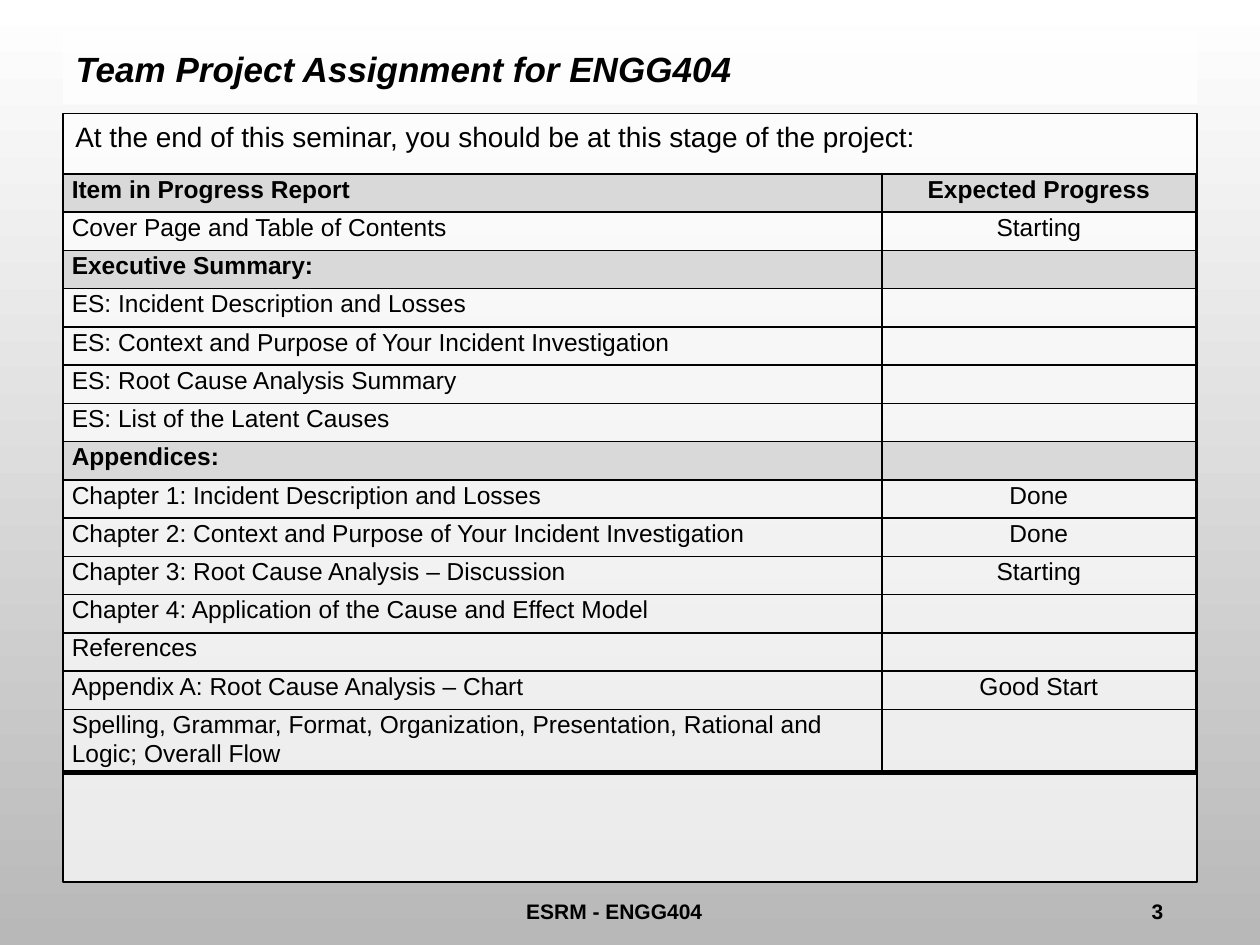
from pptx import Presentation
from pptx.dml.color import RGBColor
from pptx.enum import shapes, text
from pptx.oxml.xmlchemy import OxmlElement
from pptx.util import Inches, Pt

BLACK = RGBColor(0x00, 0x00, 0x00)
WHITE = RGBColor(0xFF, 0xFF, 0xFF)
BACKDROP_GREY = RGBColor(0xB8, 0xB8, 0xB8)
HEADING_GREY = RGBColor(0xD9, 0xD9, 0xD9)

LEFT, WIDTH = Inches(0.5), Inches(9)
HEADINGS = ("Item in Progress Report", "Executive Summary:", "Appendices:")
PROGRESS = [
    ("Item in Progress Report", "Expected Progress"),
    ("Cover Page and Table of Contents", "Starting"),
    ("Executive Summary:", ""),
    ("ES: Incident Description and Losses", ""),
    ("ES: Context and Purpose of Your Incident Investigation", ""),
    ("ES: Root Cause Analysis Summary", ""),
    ("ES: List of the Latent Causes", ""),
    ("Appendices:", ""),
    ("Chapter 1: Incident Description and Losses", "Done"),
    ("Chapter 2: Context and Purpose of Your Incident Investigation", "Done"),
    ("Chapter 3: Root Cause Analysis – Discussion", "Starting"),
    ("Chapter 4: Application of the Cause and Effect Model", ""),
    ("References", ""),
    ("Appendix A: Root Cause Analysis – Chart", "Good Start"),
    ("Spelling, Grammar, Format, Organization, Presentation, "
     "Rational and Logic; Overall Flow", ""),
]


def add_child(parent, tag, **attributes):
    child = OxmlElement(tag)
    for name, value in attributes.items():
        child.set(name, str(value))
    parent.append(child)
    return child


def write(frame, words, size, bold=False, italic=False, align=text.PP_ALIGN.LEFT):
    para = frame.paragraphs[0]
    para.text = words
    para.alignment = align
    font = para.font
    font.name, font.size, font.bold, font.italic = "Arial", Pt(size), bold, italic
    font.color.rgb = BLACK
    return para


def fill_translucent_white(shape):
    shape.fill.solid()
    shape.fill.fore_color.rgb = WHITE
    color = shape.fill._xPr.solidFill.srgbClr
    add_child(color, "a:alpha", val=70000)


def paint_background(page):
    fill = page.background.fill
    fill.gradient()
    fill.gradient_angle = 270
    for stop, color, position in zip(fill.gradient_stops, (WHITE, BACKDROP_GREY), (0, 1)):
        stop.color.rgb = color
        stop.position = position


def format_title(title):
    title.left, title.top, title.width, title.height = (
        LEFT, Inches(0.25), WIDTH, Inches(0.58))
    fill_translucent_white(title)
    title.text_frame.vertical_anchor = text.MSO_ANCHOR.MIDDLE
    write(title.text_frame, "Team Project Assignment for ENGG404", 20, True, True)


def add_panel(page):
    panel = page.shapes.add_shape(
        shapes.MSO_SHAPE.RECTANGLE, LEFT, Inches(0.9), WIDTH, Inches(6.1))
    panel.shadow.inherit = False
    fill_translucent_white(panel)
    panel.line.color.rgb = BLACK
    panel.line.width = Pt(0.75)
    panel.text_frame.vertical_anchor = text.MSO_ANCHOR.TOP
    para = write(panel.text_frame, "At the end of this seminar, you should be "
                 "at this stage of the project:", 16)
    properties = para._p.get_or_add_pPr()
    properties.set("marL", str(Inches(0.67)))
    properties.set("indent", str(-Inches(0.67)))


def add_footer(page, left, width, words, align):
    box = page.shapes.add_textbox(Inches(left), Inches(7.08), Inches(width), Inches(0.25))
    box.text_frame.word_wrap = True
    write(box.text_frame, words, 12, True, align=align)


def set_borders(cell, bottom_width):
    properties = cell._tc.get_or_add_tcPr()
    widths = {"a:lnL": 1, "a:lnR": 1, "a:lnT": 1, "a:lnB": bottom_width}
    for index, (tag, width) in enumerate(widths.items()):
        line = OxmlElement(tag)
        line.set("w", str(Pt(width)))
        fill = add_child(line, "a:solidFill")
        add_child(fill, "a:srgbClr", val=str(BLACK))
        properties.insert(index, line)  # borders precede the cell fill


def format_cell(cell, words, heading, align, bottom_width):
    cell.margin_left = cell.margin_right = Inches(0.07)
    cell.margin_top = cell.margin_bottom = 0
    if heading:
        cell.fill.solid()
        cell.fill.fore_color.rgb = HEADING_GREY
    else:
        cell.fill.background()
    set_borders(cell, bottom_width)
    if words:
        para = write(cell.text_frame, words, 14, heading, align=align)
        para.line_spacing = 1.07


def add_progress_table(page):
    last = len(PROGRESS) - 1
    table = page.shapes.add_table(
        len(PROGRESS), 2, LEFT, Inches(1.38), WIDTH, Inches(4.75)).table
    table.first_row = table.horz_banding = False
    table.columns[0].width, table.columns[1].width = Inches(6.5), Inches(2.49)
    aligns = (text.PP_ALIGN.LEFT, text.PP_ALIGN.CENTER)
    for index, entry in enumerate(PROGRESS):
        # The two-line last row takes half an inch; the others share the rest
        table.rows[index].height = Inches(0.5) if index == last else Inches(4.25 / last)
        for column, (words, align) in enumerate(zip(entry, aligns)):
            format_cell(table.cell(index, column), words, entry[0] in HEADINGS,
                        align, 3 if index == last else 1)


def main():
    deck = Presentation()
    deck.slide_width, deck.slide_height = Inches(10), Inches(7.5)
    page = deck.slides.add_slide(deck.slide_layouts[5])
    paint_background(page)
    format_title(page.shapes.title)
    add_panel(page)
    add_footer(page, 8.33, 1, "3", text.PP_ALIGN.RIGHT)
    add_footer(page, 2.75, 4.25, "ESRM - ENGG404", text.PP_ALIGN.CENTER)
    add_progress_table(page)
    deck.save("out.pptx")


if __name__ == "__main__":
    main()
